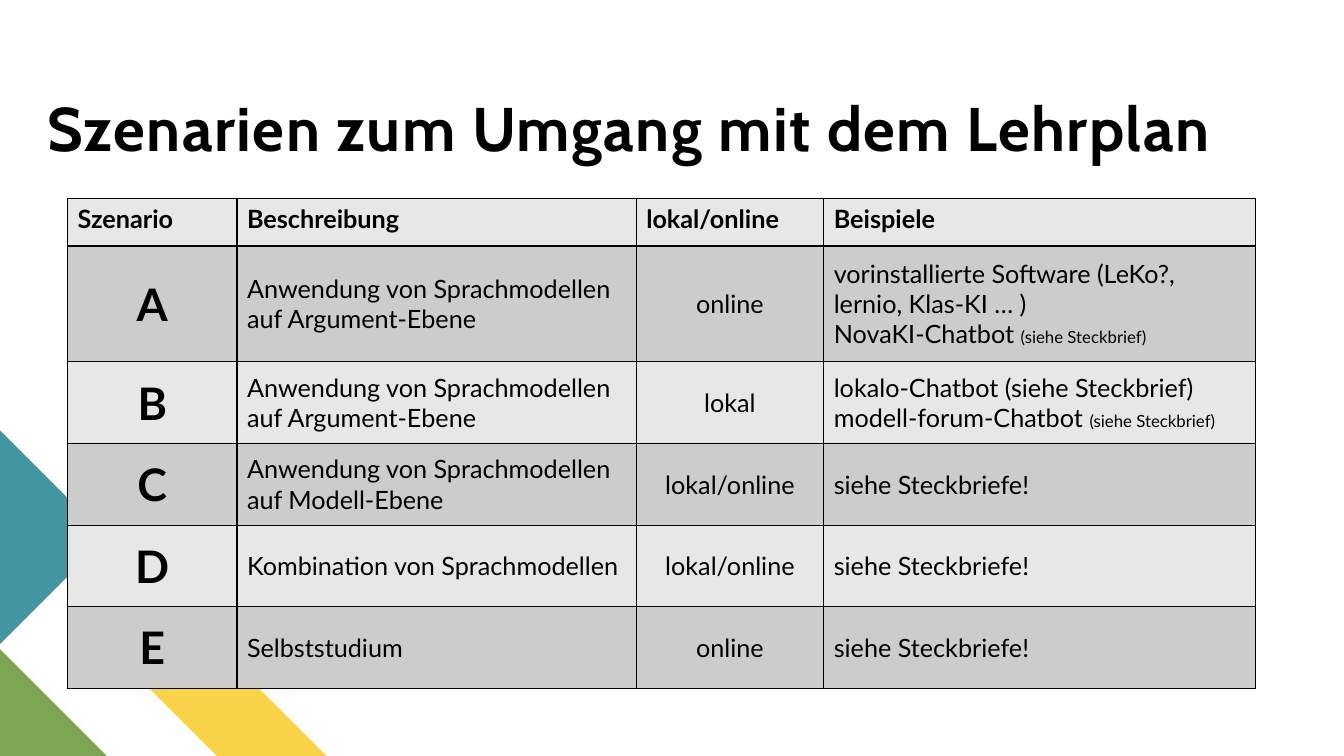
from dataclasses import dataclass

from lxml.etree import SubElement
from pptx import Presentation
from pptx.dml.color import RGBColor
from pptx.enum.text import MSO_ANCHOR as Anchor, MSO_AUTO_SIZE as AutoSize, PP_ALIGN as Align
from pptx.oxml.ns import qn
from pptx.util import Inches, Pt


@dataclass(frozen=True)
class Theme:
    title_font: str = "Cabin"
    body_font: str = "Lato"
    title_size: int = 44
    letter_size: int = 32
    body_size: int = 18
    note_size: int = 12
    ink: str = "000000"
    light: str = "E7E7E7"
    dark: str = "CCCCCC"
    yellow: str = "F9D448"
    green: str = "7CA655"
    teal: str = "4495A2"


THEME = Theme()
TITLE = "Szenarien zum Umgang mit dem Lehrplan"
HEADERS = ["Szenario", "Beschreibung", "lokal/online", "Beispiele"]
NOTE = "(siehe Steckbrief)"
ARGUMENT_LEVEL = "Anwendung von Sprachmodellen auf Argument-Ebene"
SEE_PROFILES = [("siehe Steckbriefe!", "")]
# Each example is a line of normal text followed by a small note.
SCENARIOS = [
    ("A", ARGUMENT_LEVEL, "online",
     [("vorinstallierte Software (LeKo?, lernio, Klas-KI … )", ""), ("NovaKI-Chatbot ", NOTE)]),
    ("B", ARGUMENT_LEVEL, "lokal",
     [("lokalo-Chatbot (siehe Steckbrief)", ""), ("modell-forum-Chatbot ", NOTE)]),
    ("C", "Anwendung von Sprachmodellen auf Modell-Ebene", "lokal/online", SEE_PROFILES),
    ("D", "Kombination von Sprachmodellen", "lokal/online", SEE_PROFILES),
    ("E", "Selbststudium", "online", SEE_PROFILES),
]
DECORATIONS = [
    (THEME.yellow, [(3.24, 7.5), (2.15, 7.5), (1.06, 6.41), (1.61, 5.87)]),
    (THEME.green, [(1.06, 7.5), (0, 7.5), (0, 6.44)]),
    (THEME.teal, [(0, 4.27), (1.06, 5.33), (0, 6.39)]),
]
TITLE_BOX = (0.47, 0.25, 11.89, 1.37)
TABLE_LEFT, TABLE_TOP = 0.67, 1.97
COLUMN_WIDTHS = [1.68, 3.96, 1.86, 4.28]
ROW_HEIGHTS = [0.47, 1.15] + [0.81] * 4


def add_decoration(slide, color, points):
    builder = slide.shapes.build_freeform(
        Inches(points[0][0]), Inches(points[0][1]), scale=1.0)
    builder.add_line_segments([(Inches(x), Inches(y)) for x, y in points[1:]])
    shape = builder.convert_to_shape()
    shape.shadow.inherit = False
    shape.fill.solid()
    shape.fill.fore_color.rgb = RGBColor.from_string(color)
    shape.line.fill.background()


def add_run(paragraph, text, size, bold=False, font=THEME.body_font):
    run = paragraph.add_run()
    run.text = text
    run.font.name = font
    run.font.size = Pt(size)
    run.font.bold = bold
    run.font.color.rgb = RGBColor.from_string(THEME.ink)
    return run


def fill_title(title):
    title.left, title.top, title.width, title.height = map(Inches, TITLE_BOX)
    frame = title.text_frame
    frame.auto_size = AutoSize.NONE
    frame.word_wrap = True
    frame.vertical_anchor = Anchor.BOTTOM
    frame.margin_left = frame.margin_top = frame.margin_right = frame.margin_bottom = 0
    paragraph = frame.paragraphs[0]
    paragraph.alignment = Align.LEFT
    paragraph.line_spacing = 0.8
    run = add_run(paragraph, TITLE, THEME.title_size, True, THEME.title_font)
    run.font._element.set("spc", "100")


def style_cell(cell, color, anchor):
    """Give the cell thin borders on all sides, then its fill and anchor."""
    properties = cell._tc.get_or_add_tcPr()
    for side in ("a:lnL", "a:lnR", "a:lnT", "a:lnB"):
        line = SubElement(properties, qn(side), w=str(Pt(1)))
        solid = SubElement(line, qn("a:solidFill"))
        SubElement(solid, qn("a:srgbClr"), val=THEME.ink)
    cell.fill.solid()
    cell.fill.fore_color.rgb = RGBColor.from_string(color)
    cell.vertical_anchor = anchor


def write_cell(cell, lines, size=THEME.body_size, bold=False, alignment=Align.LEFT):
    frame = cell.text_frame
    for index, (text, note) in enumerate(lines):
        paragraph = frame.add_paragraph() if index else frame.paragraphs[0]
        paragraph.alignment = alignment
        add_run(paragraph, text, size, bold)
        if note:
            add_run(paragraph, note, THEME.note_size, bold)


def add_scenario_table(slide):
    table = slide.shapes.add_table(
        len(ROW_HEIGHTS), len(COLUMN_WIDTHS), Inches(TABLE_LEFT), Inches(TABLE_TOP),
        Inches(sum(COLUMN_WIDTHS)), Inches(sum(ROW_HEIGHTS))).table
    table.first_row = table.horz_banding = False
    for column, width in zip(table.columns, COLUMN_WIDTHS):
        column.width = Inches(width)
    for index, (row, height) in enumerate(zip(table.rows, ROW_HEIGHTS)):
        row.height = Inches(height)
        for cell in row.cells:
            style_cell(cell, THEME.dark if index % 2 else THEME.light,
                       Anchor.MIDDLE if index else Anchor.TOP)
    for column, header in enumerate(HEADERS):
        write_cell(table.cell(0, column), [(header, "")], bold=True)
    for row, (letter, description, place, examples) in enumerate(SCENARIOS, 1):
        write_cell(table.cell(row, 0), [(letter, "")], THEME.letter_size, True, Align.CENTER)
        write_cell(table.cell(row, 1), [(description, "")])
        write_cell(table.cell(row, 2), [(place, "")], alignment=Align.CENTER)
        write_cell(table.cell(row, 3), examples)


def main():
    presentation = Presentation()
    presentation.slide_width, presentation.slide_height = Inches(13.33), Inches(7.5)
    slide = presentation.slides.add_slide(presentation.slide_layouts[5])
    for color, points in DECORATIONS:
        add_decoration(slide, color, points)
    fill_title(slide.shapes.title)
    add_scenario_table(slide)
    presentation.save("out.pptx")


if __name__ == "__main__":
    main()
